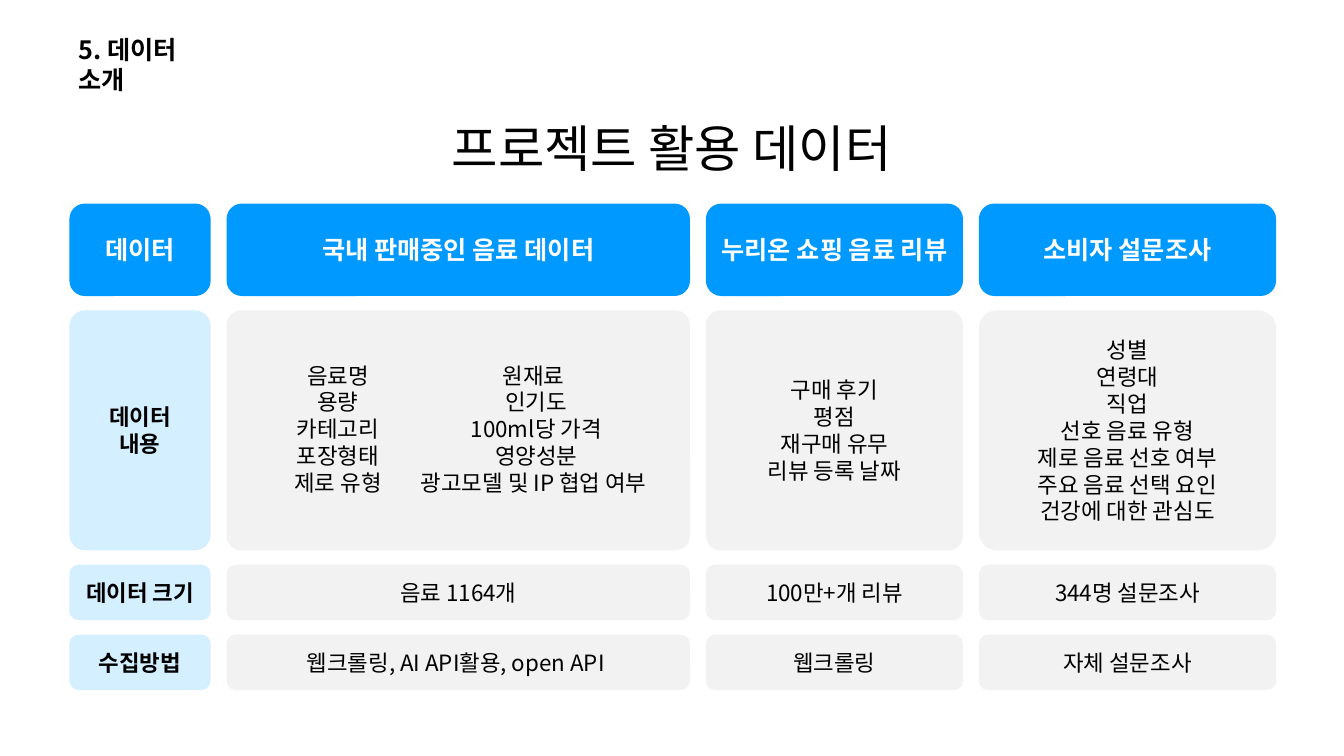
import pptx
import pptx.util
import pptx.dml.color
import pptx.enum.shapes
import pptx.enum.text
import pptx.oxml
import pptx.oxml.ns

Cm = pptx.util.Cm
ALIGN = pptx.enum.text.PP_ALIGN
ANCHOR = pptx.enum.text.MSO_ANCHOR
COLORS = {
    "header": "0099FF",
    "label": "D4EFFF",
    "cell": "F2F2F2",
    "ink": "000000",
    "white": "FFFFFF",
}
GAP_X, GAP_Y = 0.4, 0.36
GRID_LEFT, GRID_TOP = 1.75, 5.13
COLUMN_WIDTHS = [3.56, 11.68, 6.48, 7.49]
DEFAULT_CORNERS = [0.1667] * 4

# Each row: height, corner ratios, cell texts
ROWS = [
    (2.33, DEFAULT_CORNERS,
     ["데이터", "국내 판매중인 음료 데이터", "누리온 쇼핑 음료 리뷰", "소비자 설문조사"]),
    (6.05, [0.113, 0.062, 0.061, 0.075],
     ["데이터\n내용", "",
      "구매 후기\n평점\n재구매 유무\n리뷰 등록 날짜",
      "성별\n연령대\n직업\n선호 음료 유형\n제로 음료 선호 여부\n주요 음료 선택 요인\n건강에 대한 관심도"]),
    (1.4, DEFAULT_CORNERS,
     ["데이터 크기", "음료 1164개", "100만+개 리뷰", "344명 설문조사"]),
    (1.4, DEFAULT_CORNERS,
     ["수집방법", "웹크롤링, AI API활용, open API ", "웹크롤링", "자체 설문조사"]),
]


def starts(first, sizes, gap):
    """Return the start of each item when items follow one another with a gap."""
    return [first + sum(sizes[:i]) + gap * i for i in range(len(sizes))]


class SlideBuilder:
    def __init__(self, slide, font="Noto Sans CJK KR"):
        self.slide = slide
        self.font = font

    def fill_text(self, frame, text, size, color="ink", bold=False, align=ALIGN.CENTER):
        frame.text = text
        frame.word_wrap = True
        for paragraph in frame.paragraphs:
            paragraph.alignment = align
            for run in paragraph.runs:
                run.font.size = pptx.util.Pt(size)
                run.font.bold = bold
                run.font.name = self.font
                run.font.color.rgb = pptx.dml.color.RGBColor.from_string(COLORS[color])
                east_asian = pptx.oxml.parse_xml(
                    f'<a:ea {pptx.oxml.ns.nsdecls("a")} typeface="{self.font}"/>')
                run.font._element.append(east_asian)

    def text(self, left, top, width, height, text, size, **style):
        box = self.slide.shapes.add_textbox(Cm(left), Cm(top), Cm(width), Cm(height))
        self.fill_text(box.text_frame, text, size, **style)
        return box.text_frame

    def card(self, row_shapes, left, top, width, height, corner, fill, text, size, **style):
        card = row_shapes.add_shape(
            pptx.enum.shapes.MSO_SHAPE.ROUNDED_RECTANGLE,
            Cm(left), Cm(top), Cm(width), Cm(height))
        card.adjustments[0] = corner
        card.shadow.inherit = False
        card.fill.solid()
        card.fill.fore_color.rgb = pptx.dml.color.RGBColor.from_string(COLORS[fill])
        card.line.fill.background()
        card.text_frame.vertical_anchor = ANCHOR.MIDDLE
        self.fill_text(card.text_frame, text, size, **style)

    def grid(self):
        lefts = starts(GRID_LEFT, COLUMN_WIDTHS, GAP_X)
        tops = starts(GRID_TOP, [row[0] for row in ROWS], GAP_Y)
        for row, (top, (height, corners, texts)) in enumerate(zip(tops, ROWS)):
            row_shapes = self.slide.shapes.add_group_shape().shapes
            columns = zip(lefts, COLUMN_WIDTHS, corners, texts)
            for column, (left, width, corner, text) in enumerate(columns):
                is_header, is_label = row == 0, column == 0
                fill = "header" if is_header else "label" if is_label else "cell"
                self.card(row_shapes, left, top, width, height, corner, fill, text,
                          size=18 if is_header else 16,
                          color="white" if is_header else "ink",
                          bold=is_header or is_label)


def main():
    deck = pptx.Presentation()
    deck.slide_width, deck.slide_height = Cm(33.87), Cm(19.05)
    builder = SlideBuilder(deck.slides.add_slide(deck.slide_layouts[6]))

    title = builder.text(8.69, 3.07, 16.48, 1.4, "프로젝트 활용 데이터", 36)
    title.vertical_anchor = ANCHOR.BOTTOM
    title.margin_left = title.margin_right = title.margin_top = title.margin_bottom = 0
    title.paragraphs[0].line_spacing = 1.08

    builder.grid()
    builder.text(1.73, 0.74, 4.14, 1.02, "5. 데이터 소개", 18, bold=True, align=ALIGN.LEFT)
    builder.text(9.96, 8.99, 7.11, 4.37,
                 "원재료 \n인기도\n100ml당 가격\n영양성분\n광고모델 및 IP 협업 여부 ", 16)
    builder.text(5.28, 8.99, 6.48, 5.05,
                 "음료명\n용량\n카테고리\n포장형태\n제로 유형", 16)
    deck.save("out.pptx")


if __name__ == "__main__":
    main()
